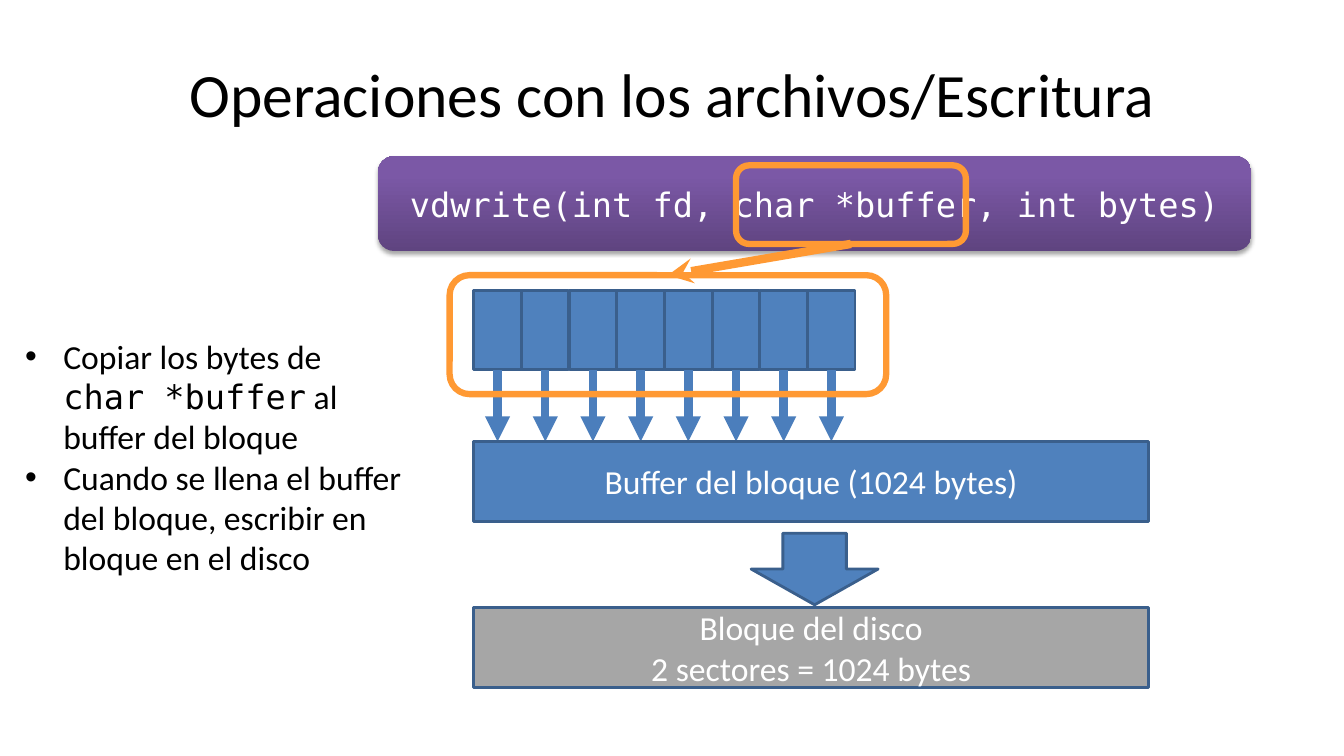
from lxml.etree import SubElement
from pptx import Presentation
from pptx.dml.color import RGBColor
from pptx.enum.shapes import MSO_CONNECTOR, MSO_SHAPE as SHAPE
from pptx.enum.text import MSO_ANCHOR, MSO_AUTO_SIZE, PP_ALIGN
from pptx.oxml.ns import qn
from pptx.util import Inches, Pt

SANS, MONO = "Calibri", "DejaVu Sans Mono"
BLACK, WHITE, GRAY = "000000", "FFFFFF", "A6A6A6"
BLUE, DARK_BLUE, ARROW_BLUE, ORANGE = "4F81BD", "3A5F8C", "4B7EBC", "FF9933"
PURPLES = [(0, "5F4480"), (80, "7B58A6"), (100, "7C57A8")]

BLOCK_X, BLOCK_W, ROW_H = 4.7, 6.69, 0.79
CELLS, CELL_STEP, CELL_W = 8, 0.473, 0.47
CELL_Y, BUFFER_Y, DISK_Y = 2.88, 4.38, 6.03


def rgb(color):
    return RGBColor.from_string(color)


def style_run(r, size, color, font=SANS):
    r.font.size = Pt(size)
    r.font.name = font
    r.font.color.rgb = rgb(color)


def write_centered(sp, text, size, color, font=SANS):
    tf = sp.text_frame
    tf.text = text
    tf.word_wrap = True
    tf.vertical_anchor = MSO_ANCHOR.MIDDLE
    for p in tf.paragraphs:
        p.alignment = PP_ALIGN.CENTER
        for r in p.runs:
            style_run(r, size, color, font)


def add_box(s, kind, x, y, w, h, fill=None, line=None, line_width=2):
    sp = s.shapes.add_shape(kind, Inches(x), Inches(y), Inches(w), Inches(h))
    sp.shadow.inherit = False
    if fill:
        sp.fill.solid()
        sp.fill.fore_color.rgb = rgb(fill)
    else:
        sp.fill.background()
    if line:
        sp.line.color.rgb = rgb(line)
        sp.line.width = Pt(line_width)
    else:
        sp.line.fill.background()
    return sp


def add_title(s, text):
    sp = s.shapes.add_textbox(Inches(0.67), Inches(0.3), Inches(12), Inches(1.25))
    write_centered(sp, text, 44, BLACK)


def add_color(parent, color, alpha=None):
    clr = SubElement(parent, qn("a:srgbClr"), val=color)
    if alpha is not None:
        SubElement(clr, qn("a:alpha"), val=str(alpha * 1000))


def add_signature(s, text):
    """Purple banner with a vertical gradient and a soft shadow."""
    sp = add_box(s, SHAPE.ROUNDED_RECTANGLE, 3.75, 1.55, 8.66, 0.94)
    sp.fill.gradient()
    sp.fill.gradient_angle = 90
    stops = sp._element.spPr.find(".//" + qn("a:gsLst"))
    for gs in list(stops):
        stops.remove(gs)
    for pos, color in PURPLES:
        add_color(SubElement(stops, qn("a:gs"), pos=str(pos * 1000)), color)
    effects = sp._element.spPr.find(qn("a:effectLst"))
    shadow = SubElement(effects, qn("a:outerShdw"), blurRad=str(Pt(3.1)),
                        dist=str(Pt(1.8)), dir="5400000", rotWithShape="0")
    add_color(shadow, BLACK, 35)
    write_centered(sp, text, 24, WHITE, MONO)


def add_arrow(s, start, end, color, arrow_end, arrow_type):
    """arrow_end is headEnd (at start) or tailEnd (at end)."""
    c = s.shapes.add_connector(MSO_CONNECTOR.STRAIGHT, *map(Inches, start + end))
    c.line.color.rgb = rgb(color)
    c.line.width = Pt(6)
    SubElement(c.line._get_or_add_ln(), qn("a:" + arrow_end), type=arrow_type)
    SubElement(c._element.spPr, qn("a:effectLst"))
    return c


def add_cells(s):
    xs = [BLOCK_X + i * CELL_STEP for i in range(CELLS)]
    cells = [add_box(s, SHAPE.RECTANGLE, x, CELL_Y, CELL_W, ROW_H, BLUE, DARK_BLUE)
             for x in xs]
    for x, cell in zip(xs, cells):
        mid = x + CELL_W / 2
        arrow = add_arrow(s, (mid, BUFFER_Y), (mid, CELL_Y + ROW_H),
                          ARROW_BLUE, "headEnd", "triangle")
        arrow.end_connect(cell, 2)


def add_highlights(s):
    bytes_frame = add_box(s, SHAPE.ROUNDED_RECTANGLE, 4.46, 2.73, 4.33, 1.18,
                          line=ORANGE, line_width=4.5)
    argument_frame = add_box(s, SHAPE.ROUNDED_RECTANGLE, 7.3, 1.64, 2.28, 0.78,
                             line=ORANGE, line_width=4.5)
    arrow = add_arrow(s, (8.44, 2.42), (6.63, 2.73), ORANGE, "tailEnd", "stealth")
    arrow.begin_connect(argument_frame, 2)
    arrow.end_connect(bytes_frame, 0)


def add_block(s, y, text, fill):
    sp = add_box(s, SHAPE.RECTANGLE, BLOCK_X, y, BLOCK_W, ROW_H, fill, DARK_BLUE)
    write_centered(sp, text, 24, WHITE)


def add_bullets(s, items):
    """Each item is a list of (text, font) runs."""
    sp = s.shapes.add_textbox(Inches(0.15), Inches(3.28), Inches(4), Inches(2.52))
    tf = sp.text_frame
    tf.word_wrap = True
    tf.auto_size = MSO_AUTO_SIZE.SHAPE_TO_FIT_TEXT
    for i, runs in enumerate(items):
        p = tf.add_paragraph() if i else tf.paragraphs[0]
        pPr = p._p.get_or_add_pPr()
        pPr.set("marL", str(Inches(0.38)))
        pPr.set("indent", str(Inches(-0.38)))
        SubElement(pPr, qn("a:buFont"), typeface="Arial")
        SubElement(pPr, qn("a:buChar"), char="•")
        for text, font in runs:
            r = p.add_run()
            r.text = text
            style_run(r, 24, BLACK, font)


def main():
    prs = Presentation()
    prs.slide_width, prs.slide_height = Inches(13.33), Inches(7.5)
    s = prs.slides.add_slide(prs.slide_layouts[6])
    add_title(s, "Operaciones con los archivos/Escritura")
    add_signature(s, "vdwrite(int fd, char *buffer, int bytes)")
    add_block(s, DISK_Y, "Bloque del disco\n2 sectores = 1024 bytes", GRAY)
    add_cells(s)
    add_highlights(s)
    add_block(s, BUFFER_Y, "Buffer del bloque (1024 bytes)", BLUE)
    add_box(s, SHAPE.DOWN_ARROW, 7.45, 5.29, 1.26, 0.71, BLUE, DARK_BLUE)
    add_bullets(s, [
        [("Copiar los bytes de ", SANS), ("char *buffer", MONO),
         (" al buffer del bloque", SANS)],
        [("Cuando se llena el buffer del bloque, escribir en bloque en el disco", SANS)],
    ])
    prs.save("out.pptx")


if __name__ == "__main__":
    main()
